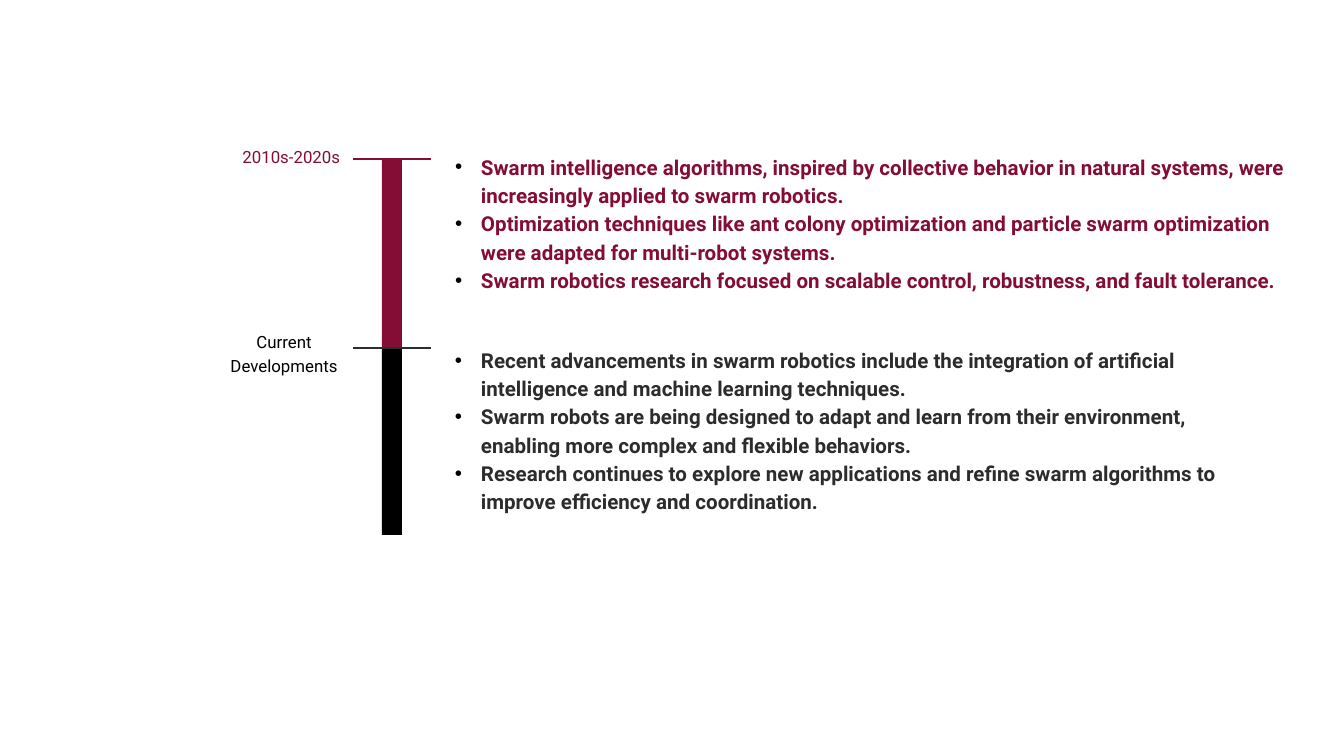
from dataclasses import dataclass

from lxml.etree import SubElement
from pptx import Presentation
from pptx.dml.color import RGBColor
from pptx.enum.shapes import MSO_CONNECTOR, MSO_SHAPE
from pptx.enum.text import MSO_ANCHOR, PP_ALIGN
from pptx.oxml.ns import qn
from pptx.util import Emu, Pt

PX_PER_INCH = 134.4


def px(length):
    return Emu(round(length * 914400 / PX_PER_INCH))


@dataclass(frozen=True)
class Theme:
    maroon: RGBColor = RGBColor(0x84, 0x0D, 0x35)
    black: RGBColor = RGBColor(0x00, 0x00, 0x00)
    charcoal: RGBColor = RGBColor(0x2C, 0x2C, 0x2C)
    font: str = "Roboto"
    label_size: int = 9
    body_size: int = 11
    line_spacing: float = 1.15
    rule_width: float = 0.75
    inset: int = 13
    indent: int = 26


class TimelinePage:
    def __init__(self, page, theme):
        self.page = page
        self.theme = theme

    def bar(self, left, top, width, height, color):
        bar = self.page.shapes.add_shape(
            MSO_SHAPE.RECTANGLE, px(left), px(top), px(width), px(height))
        bar.shadow.inherit = False
        bar.fill.solid()
        bar.fill.fore_color.rgb = color
        bar.line.fill.background()

    def tick(self, start, end, y, color):
        tick = self.page.shapes.add_connector(
            MSO_CONNECTOR.STRAIGHT, px(start), px(y), px(end), px(y))
        tick.line.color.rgb = color
        tick.line.width = Pt(self.theme.rule_width)
        SubElement(tick._element.spPr, qn("a:effectLst"))

    def text(self, left, top, width, height, lines, color, size,
             align=PP_ALIGN.LEFT, bold=False, bulleted=False):
        box = self.page.shapes.add_textbox(px(left), px(top), px(width), px(height))
        frame = box.text_frame
        frame.word_wrap = True
        frame.vertical_anchor = MSO_ANCHOR.TOP
        frame.margin_left = frame.margin_right = px(self.theme.inset)
        frame.margin_top = frame.margin_bottom = px(self.theme.inset)
        for index, line in enumerate(lines):
            para = frame.add_paragraph() if index else frame.paragraphs[0]
            para.alignment = align
            para.line_spacing = self.theme.line_spacing
            if bulleted:
                self.bullet(para)
            span = para.add_run()
            span.text = line
            span.font.name = self.theme.font
            span.font.size = Pt(size)
            span.font.bold = bold
            span.font.color.rgb = color

    def bullet(self, para):
        """Give the paragraph a hanging indent and a black dot."""
        properties = para._p.get_or_add_pPr()
        properties.set("marL", str(px(self.theme.indent)))
        properties.set("indent", str(-px(self.theme.indent)))
        bullet_color = SubElement(properties, qn("a:buClr"))
        SubElement(bullet_color, qn("a:srgbClr"), val=str(self.theme.black))
        SubElement(properties, qn("a:buFont"), typeface="Arial")
        SubElement(properties, qn("a:buChar"), char="•")

    def period(self, top, bar_height, label, label_box, label_align,
               points, points_box, accent, ink):
        """Draw one stretch of the timeline with its label and points."""
        self.bar(382, top, 20, bar_height, accent)
        self.tick(431, 353, top, ink)
        self.text(*points_box, points, ink, self.theme.body_size,
                  bold=True, bulleted=True)
        self.text(*label_box, [label], accent, self.theme.label_size, label_align)


def main():
    deck = Presentation()
    deck.slide_width, deck.slide_height = px(1344), px(756)
    theme = Theme()
    timeline = TimelinePage(deck.slides.add_slide(deck.slide_layouts[6]), theme)

    timeline.period(
        159, 190, "2010s-2020s", (228, 132, 125, 66), PP_ALIGN.RIGHT,
        ["Swarm intelligence algorithms, inspired by collective behavior in "
         "natural systems, were increasingly applied to swarm robotics.",
         "Optimization techniques like ant colony optimization and particle "
         "swarm optimization were adapted for multi-robot systems.",
         "Swarm robotics research focused on scalable control, robustness, "
         "and fault tolerance."],
        (442, 138, 860, 191), theme.maroon, theme.maroon)
    timeline.period(
        348, 187, "Current Developments", (214, 316, 140, 66), PP_ALIGN.CENTER,
        ["Recent advancements in swarm robotics include the integration of "
         "artificial intelligence and machine learning techniques.",
         "Swarm robots are being designed to adapt and learn from their "
         "environment, enabling more complex and flexible behaviors.",
         "Research continues to explore new applications and refine swarm "
         "algorithms to improve efficiency and coordination."],
        (442, 331, 810, 253), theme.black, theme.charcoal)

    deck.save("out.pptx")


if __name__ == "__main__":
    main()
